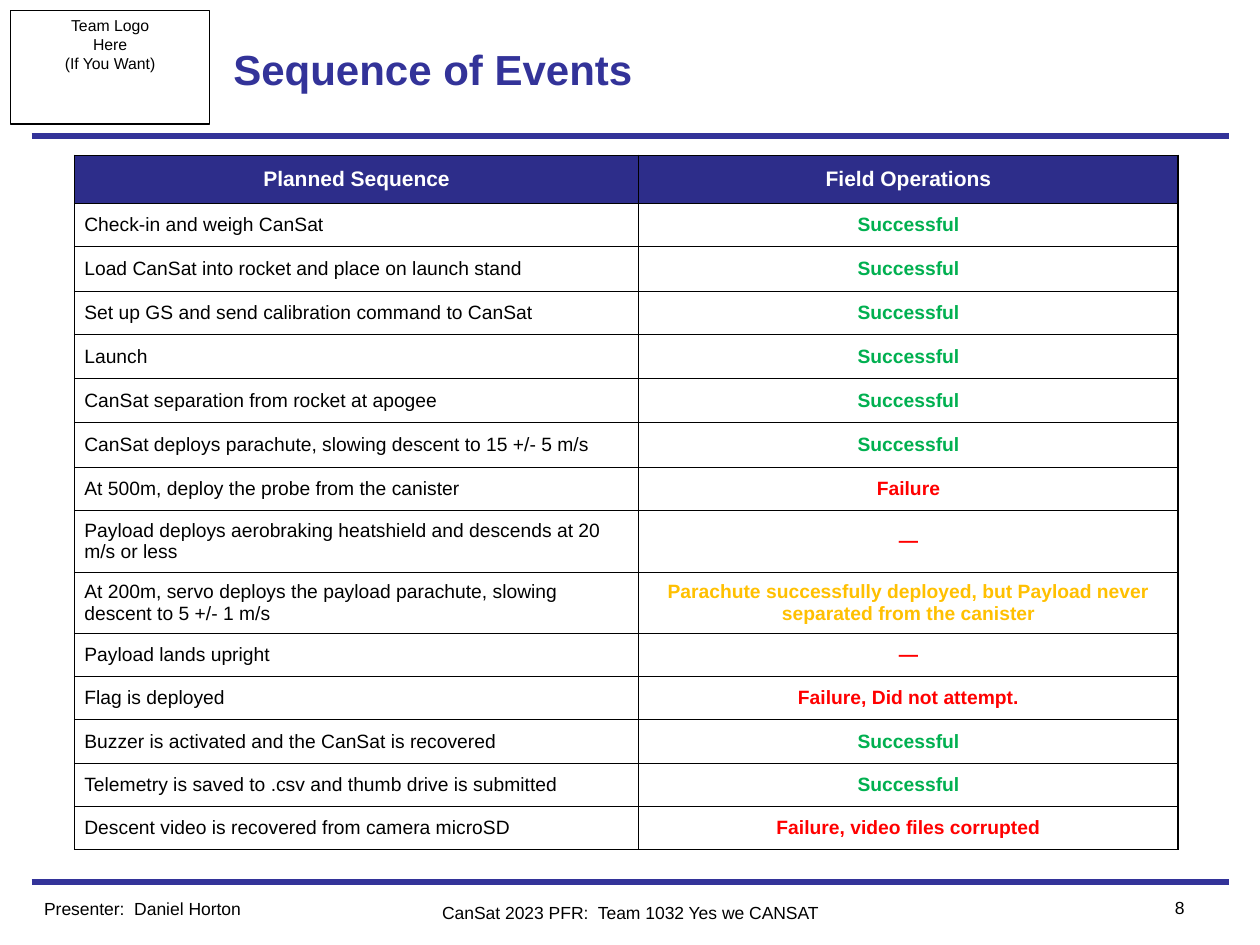
from lxml import etree
from pptx import Presentation
from pptx.dml.color import RGBColor
from pptx.enum.shapes import MSO_CONNECTOR, MSO_SHAPE
from pptx.enum.text import MSO_ANCHOR as Anchor, PP_ALIGN as Align
from pptx.oxml.ns import qn
from pptx.util import Cm, Pt

COLORS = {
    "black": "000000",
    "white": "FFFFFF",
    "rule": "333399",
    "header": "2D2D8A",
    "success": "00B050",
    "failure": "FF0000",
    "partial": "FFC000",
}
HEADINGS = ["Planned Sequence", "Field Operations"]
EVENTS = [
    ("Check-in and weigh CanSat", "Successful", "success", 0.86),
    ("Load CanSat into rocket and place on launch stand", "Successful", "success", 0.92),
    ("Set up GS and send calibration command to CanSat", "Successful", "success", 0.87),
    ("Launch", "Successful", "success", 0.87),
    ("CanSat separation from rocket at apogee", "Successful", "success", 0.9),
    ("CanSat deploys parachute, slowing descent to 15 +/- 5 m/s", "Successful", "success", 0.9),
    ("At 500m, deploy the probe from the canister", "Failure", "failure", 0.87),
    ("Payload deploys aerobraking heatshield and descends at 20 m/s or less", "—", "failure", 1.24),
    ("At 200m, servo deploys the payload parachute, slowing descent to 5 +/- 1 m/s",
     "Parachute successfully deployed, but Payload never separated from the canister", "partial", 1.24),
    ("Payload lands upright", "—", "failure", 0.87),
    ("Flag is deployed", "Failure, Did not attempt.", "failure", 0.87),
    ("Buzzer is activated and the CanSat is recovered", "Successful", "success", 0.87),
    ("Telemetry is saved to .csv and thumb drive is submitted", "Successful", "success", 0.87),
    ("Descent video is recovered from camera microSD", "Failure, video files corrupted", "failure", 0.87),
]


def write(paragraph, text, size, color="black", bold=False, align=Align.LEFT):
    paragraph.alignment = align
    run = paragraph.add_run()
    run.text = text
    run.font.name = "Arial"
    run.font.size = Pt(size)
    run.font.bold = bold
    run.font.color.rgb = RGBColor.from_string(COLORS[color])


def set_borders(cell, widths):
    properties = cell._tc.get_or_add_tcPr()
    for position, (side, width) in enumerate(widths.items()):
        line = etree.Element(qn(f"a:ln{side}"), w=str(Pt(width)))
        fill = etree.SubElement(line, qn("a:solidFill"))
        etree.SubElement(fill, qn("a:srgbClr"), val=COLORS["black"])
        properties.insert(position, line)


presentation = Presentation()
presentation.slide_width = Cm(25.4)
presentation.slide_height = Cm(19.05)
slide = presentation.slides.add_slide(presentation.slide_layouts[5])

for y in (17.78, 2.74):
    rule = slide.shapes.add_connector(
        MSO_CONNECTOR.STRAIGHT, Cm(0.64), Cm(y), Cm(24.77), Cm(y))
    rule.line.color.rgb = RGBColor.from_string(COLORS["rule"])
    rule.line.width = Pt(3)
    etree.SubElement(rule._element.spPr, qn("a:effectLst"))

logo_box = slide.shapes.add_shape(
    MSO_SHAPE.RECTANGLE, Cm(0.21), Cm(0.21), Cm(4.02), Cm(2.29))
logo_box.shadow.inherit = False
logo_box.fill.background()
logo_box.line.color.rgb = RGBColor.from_string(COLORS["black"])
logo_box.line.width = Pt(0.75)
logo_frame = logo_box.text_frame
logo_frame.vertical_anchor = Anchor.TOP
logo_frame.margin_left = logo_frame.margin_right = Cm(0.18)
logo_frame.margin_top = logo_frame.margin_bottom = Cm(0.1)
for index, text in enumerate(["Team Logo", "Here", "(If You Want)"]):
    paragraph = logo_frame.add_paragraph() if index else logo_frame.paragraphs[0]
    write(paragraph, text, 9, align=Align.CENTER)

title = slide.shapes.title
title.left, title.top, title.width, title.height = Cm(4.45), Cm(0.21), Cm(15.03), Cm(2.33)
title.text_frame.vertical_anchor = Anchor.MIDDLE
write(title.text_frame.paragraphs[0], "Sequence of Events", 24, "rule", True)

table_frame = slide.shapes.add_table(
    len(EVENTS) + 1, 2, Cm(1.5), Cm(3.13), Cm(22.25), Cm(14.02))
table = table_frame.table
table.columns[0].width = Cm(11.38)
table.columns[1].width = Cm(10.87)
table.rows[0].height = Cm(0.97)
for column, heading in enumerate(HEADINGS):
    write(table.cell(0, column).text_frame.paragraphs[0], heading, 12, "white", True, Align.CENTER)
for row, (event, result, status, height) in enumerate(EVENTS, start=1):
    table.rows[row].height = Cm(height)
    write(table.cell(row, 0).text_frame.paragraphs[0], event, 11)
    write(table.cell(row, 1).text_frame.paragraphs[0], result, 11, status, True, Align.CENTER)

for row in range(len(EVENTS) + 1):
    for column in range(2):
        cell = table.cell(row, column)
        cell.vertical_anchor = Anchor.MIDDLE
        cell.margin_left = cell.margin_right = Cm(0.2)
        cell.margin_top = cell.margin_bottom = Cm(0.1)
        cell.fill.solid()
        cell.fill.fore_color.rgb = RGBColor.from_string(COLORS["white" if row else "header"])
        set_borders(cell, {
            "L": 0.6,
            "R": 0.92 if column == 1 else 0.6,
            "T": 0.92 if row == 0 else 0.6,
            "B": 0.92 if row == len(EVENTS) else 0.6,
        })

FOOTERS = [
    ("Presenter:  Daniel Horton", 0.64, 17.98, 6.35, 0.69, Align.LEFT, 0.25, 0.13),
    ("CanSat 2023 PFR:  Team 1032 Yes we CANSAT", 7.98, 18.08, 9.45, 0.51, Align.CENTER, 0.18, 0.1),
    ("8", 22.23, 17.96, 1.9, 0.69, Align.RIGHT, 0.25, 0.13),
]
for text, left, top, width, height, align, side_margin, edge_margin in FOOTERS:
    footer = slide.shapes.add_textbox(Cm(left), Cm(top), Cm(width), Cm(height))
    frame = footer.text_frame
    frame.word_wrap = True
    frame.margin_left = frame.margin_right = Cm(side_margin)
    frame.margin_top = frame.margin_bottom = Cm(edge_margin)
    write(frame.paragraphs[0], text, 10, align=align)

presentation.save("out.pptx")
